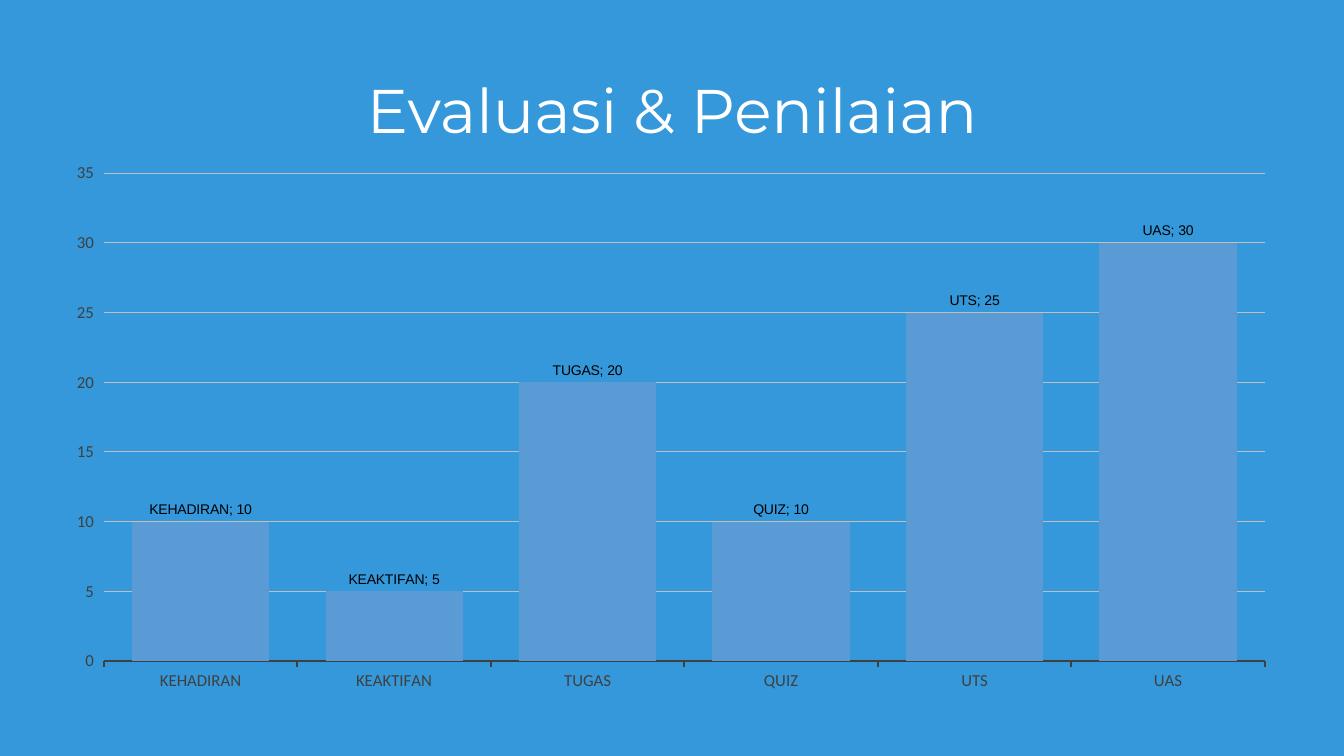
import pptx
import pptx.chart.data
import pptx.dml.color
import pptx.enum.chart
import pptx.enum.text
import pptx.oxml
import pptx.oxml.ns
import pptx.util

Inches = pptx.util.Inches
SCORES = {"KEHADIRAN": 10, "KEAKTIFAN": 5, "TUGAS": 20, "QUIZ": 10, "UTS": 25, "UAS": 30}


def color(hex_string):
    return pptx.dml.color.RGBColor.from_string(hex_string)


def format_font(font, name, size, hex_string):
    font.name = name
    font.size = pptx.util.Pt(size)
    font.bold = False
    font.color.rgb = color(hex_string)


def add_text(slide, box, text, font="Montserrat", size=44, fill="FFFFFF", line_spacing=0.9):
    frame = slide.shapes.add_textbox(*map(Inches, box)).text_frame
    frame.word_wrap = True
    frame.vertical_anchor = pptx.enum.text.MSO_ANCHOR.MIDDLE
    paragraph = frame.paragraphs[0]
    paragraph.alignment = pptx.enum.text.PP_ALIGN.CENTER
    paragraph.line_spacing = line_spacing
    run = paragraph.add_run()
    run.text = text
    format_font(run.font, font, size, fill)


def place_plot(chart, left, top, width, height):
    plot_area = chart._chartSpace.chart.plotArea
    for layout in plot_area.findall(pptx.oxml.ns.qn("c:layout")):
        plot_area.remove(layout)
    parts = {"layoutTarget": "inner", "xMode": "edge", "yMode": "edge",
             "x": left, "y": top, "w": width, "h": height}
    settings = "".join(f'<c:{tag} val="{value}"/>' for tag, value in parts.items())
    plot_area.insert(0, pptx.oxml.parse_xml(
        f'<c:layout {pptx.oxml.ns.nsdecls("c")}>'
        f"<c:manualLayout>{settings}</c:manualLayout></c:layout>"))


def add_score_chart(slide, box, scores):
    data = pptx.chart.data.CategoryChartData()
    data.categories = list(scores)
    data.add_series("Series 1", list(scores.values()))
    chart = slide.shapes.add_chart(
        pptx.enum.chart.XL_CHART_TYPE.COLUMN_CLUSTERED, *map(Inches, box), data).chart
    chart.has_title = False
    chart.has_legend = False
    format_font(chart.font, "Arial", 10, "000000")
    place_plot(chart, 0.04, 0.04, 0.94, 0.89)

    plot = chart.plots[0]
    plot.gap_width = 41
    plot.vary_by_categories = False
    series = plot.series[0]
    series.format.fill.solid()
    series.format.fill.fore_color.rgb = color("5B9BD5")
    labels = series.data_labels
    labels.show_value = True
    labels.show_category_name = True
    labels.position = pptx.enum.chart.XL_LABEL_POSITION.OUTSIDE_END
    format_font(labels.font, "Arial", 10, "000000")

    for axis in (chart.category_axis, chart.value_axis):
        axis.major_tick_mark = pptx.enum.chart.XL_TICK_MARK.OUTSIDE
        format_font(axis.tick_labels.font, "Calibri", 12, "404040")
    category_line = chart.category_axis.format.line
    category_line.color.rgb = color("404040")
    category_line.width = pptx.util.Pt(1.5)

    value_axis = chart.value_axis
    value_axis.minimum_scale = 0
    value_axis.maximum_scale = 35
    value_axis.major_unit = 5
    value_axis.format.line.fill.background()
    value_axis.has_major_gridlines = True
    grid_line = value_axis.major_gridlines.format.line
    grid_line.color.rgb = color("BFBFBF")
    grid_line.width = pptx.util.Pt(0.75)


def add_evaluation_slide(presentation):
    slide = presentation.slides.add_slide(presentation.slide_layouts[6])
    slide.background.fill.solid()
    slide.background.fill.fore_color.rgb = color("3498DB")
    add_text(slide, (0.92, 0.4, 11.5, 1.45), "Evaluasi & Penilaian")
    add_score_chart(slide, (0.54, 1.5, 12.25, 5.44), SCORES)


def main():
    presentation = pptx.Presentation()
    presentation.slide_width = Inches(13.33)
    presentation.slide_height = Inches(7.5)
    add_evaluation_slide(presentation)
    presentation.save("out.pptx")


if __name__ == "__main__":
    main()
